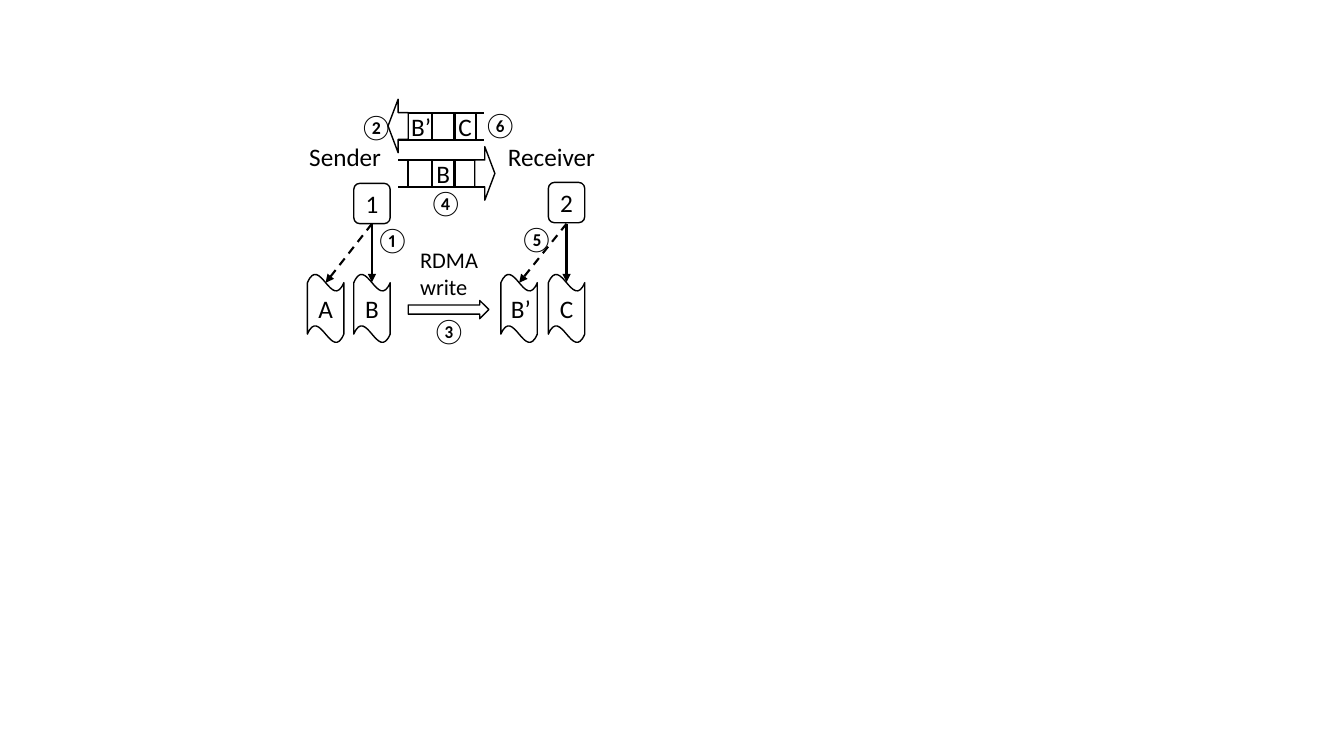
from lxml.etree import SubElement
from pptx import Presentation
from pptx.dml.color import RGBColor
from pptx.enum.dml import MSO_LINE
from pptx.enum.shapes import MSO_CONNECTOR, MSO_SHAPE
from pptx.enum.text import MSO_ANCHOR, MSO_AUTO_SIZE, PP_ALIGN
from pptx.oxml.ns import qn
from pptx.util import Pt

COLORS = {"ink": "000000", "paper": "FFFFFF"}
FONT = "Calibri"
BLOCK_WIDTH = 26
NODE_HEIGHT = 28.8
BLOCK_TOP, BLOCK_HEIGHT = 195.8, 49
QUEUE_LEFT, QUEUE_RIGHT, QUEUE_HEIGHT = 284.4, 345.6, 19.4
QUEUE_DIVIDERS = (291.6, 308.9, 324.7, 339.8)


def color(name):
    return RGBColor.from_string(COLORS[name])


def write(text_frame, text, size=18, align=PP_ALIGN.LEFT):
    text_frame.text = text
    for paragraph in text_frame.paragraphs:
        paragraph.alignment = align
        for run in paragraph.runs:
            run.font.size = Pt(size)
            run.font.name = FONT
            run.font.color.rgb = color("ink")


def add_label(slide, text, left, top, width, height=29, size=18, wrap=False):
    box = slide.shapes.add_textbox(Pt(left), Pt(top), Pt(width), Pt(height))
    box.text_frame.word_wrap = wrap
    box.text_frame.auto_size = MSO_AUTO_SIZE.SHAPE_TO_FIT_TEXT
    write(box.text_frame, text, size)


def add_outline(slide, kind, left, top, width, height, text=""):
    shape = slide.shapes.add_shape(kind, Pt(left), Pt(top), Pt(width), Pt(height))
    shape.shadow.inherit = False
    shape.fill.solid()
    shape.fill.fore_color.rgb = color("paper")
    shape.line.color.rgb = color("ink")
    shape.line.width = Pt(1)
    if text:
        shape.text_frame.vertical_anchor = MSO_ANCHOR.MIDDLE
        write(shape.text_frame, text, align=PP_ALIGN.CENTER)


def add_line(slide, x1, y1, x2, y2, arrow=False, dashed=False):
    connector = slide.shapes.add_connector(
        MSO_CONNECTOR.STRAIGHT, Pt(x1), Pt(y1), Pt(x2), Pt(y2))
    connector.line.color.rgb = color("ink")
    connector.line.width = Pt(1.5)
    if dashed:
        connector.line.dash_style = MSO_LINE.DASH
    if arrow:
        SubElement(connector.line._get_or_add_ln(), qn("a:tailEnd"), type="triangle")
    SubElement(connector._element.spPr, qn("a:effectLst"))


def add_block(slide, left, text=""):
    add_outline(slide, MSO_SHAPE.WAVE, left, BLOCK_TOP, BLOCK_WIDTH, BLOCK_HEIGHT, text)


def add_node(slide, text, left, top, old_block_left):
    """Node with a solid pointer to the block below and a dashed one to the other."""
    add_outline(slide, MSO_SHAPE.ROUNDED_RECTANGLE, left, top,
                BLOCK_WIDTH, NODE_HEIGHT, text)
    center = left + BLOCK_WIDTH / 2
    old_center = old_block_left + BLOCK_WIDTH / 2
    add_line(slide, center, 159.8, center, 201.6, arrow=True)
    add_line(slide, center, 159.8, old_center, 202, arrow=True, dashed=True)


def add_queue(slide, top, head_kind, head_left):
    bottom = top + QUEUE_HEIGHT
    for y in (top, bottom):
        add_line(slide, QUEUE_LEFT, y, QUEUE_RIGHT, y)
    for x in QUEUE_DIVIDERS:
        add_line(slide, x, top, x, bottom)
    add_outline(slide, head_kind, head_left, top - 9.7, 14.4, 38.2)


def main():
    presentation = Presentation()
    presentation.slide_width, presentation.slide_height = Pt(960), Pt(540)
    slide = presentation.slides.add_slide(presentation.slide_layouts[6])

    # Sender and receiver
    add_label(slide, "Sender", 213.8, 97.2, 66.2)
    add_label(slide, "Receiver", 355.7, 97.2, 77.8)
    for left, text in ((219.6, "A"), (252.7, "B"), (357.8, ""), (391.7, "C")):
        add_block(slide, left, text)
    add_label(slide, "B’", 357.8, 205.9, 36.7, wrap=True)
    add_node(slide, "1", 252.7, 131, 219.6)
    add_node(slide, "2", 391.7, 130.3, 357.8)

    # Message queues
    add_queue(slide, 114.5, MSO_SHAPE.RIGHT_ARROW, 339.1)
    add_queue(slide, 80.6, MSO_SHAPE.LEFT_ARROW, 277.2)
    add_label(slide, "B", 304.6, 109.4, 24.5)
    add_label(slide, "B’", 286.6, 76.3, 28.8)
    add_label(slide, "C", 320.4, 75.6, 24.5)

    # Data transfer
    add_outline(slide, MSO_SHAPE.RIGHT_ARROW, 291.6, 214.6, 57.6, 13)
    add_label(slide, "RDMA\vwrite", 293, 172.1, 56.2, 46, size=16)

    # Step numbers
    steps = (("①", 261.4, 157), ("②", 249.8, 75.6), ("③", 301.7, 221.8),
             ("④", 299.5, 130.3), ("⑤", 364.3, 156.2), ("⑥", 338.4, 74.2))
    for number, left, top in steps:
        add_label(slide, number, left, top, 32.4)

    presentation.save("out.pptx")


main()
